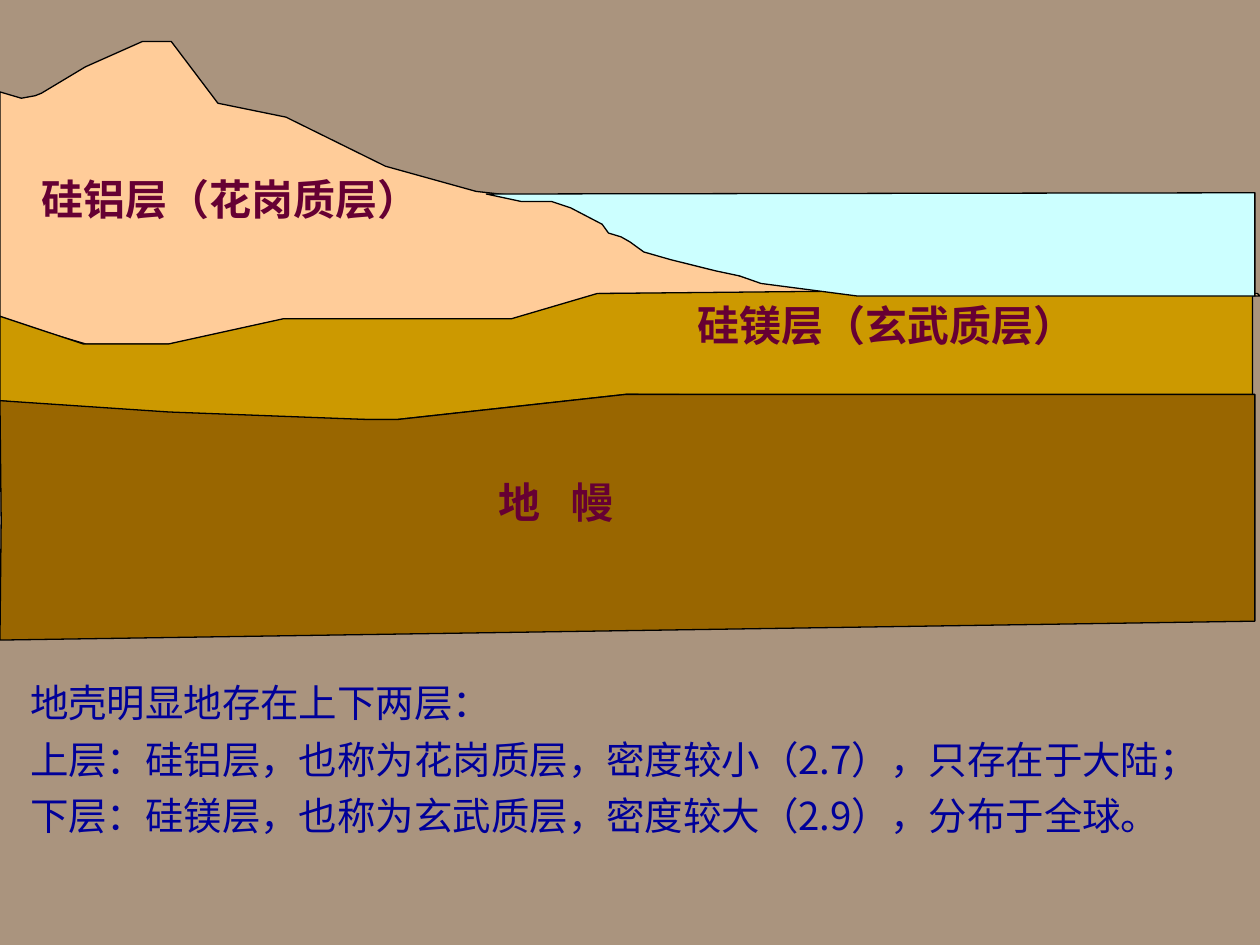
from pptx import Presentation
from pptx.dml.color import RGBColor as RGB
from pptx.enum.text import MSO_AUTO_SIZE as Fit, PP_ALIGN as Align
from pptx.oxml.ns import qn
from pptx.util import Inches, Pt
from lxml.etree import SubElement

HUES = {
    "back": "AA947E", "granite": "FFCC99", "basalt": "CC9900",
    "sea": "CCFFFF", "mantle": "996600", "edge": "000000",
    "label": "660033", "note": "000099",
}
SANS = "Noto Sans CJK SC"
SERIF = "Times New Roman"

# Outlines in inches from the top left corner of the cross-section
LAYERS = {
    "granite": [
        (0.17, 0.45), (0.28, 0.43), (0.33, 0.41), (0.38, 0.38), (0.68, 0.2),
        (1.13, 0), (1.36, 0), (1.73, 0.49), (2.27, 0.6), (3.06, 0.99),
        (3.78, 1.19), (4.51, 1.27), (4.76, 1.42), (5.13, 1.64), (5.94, 1.88),
        (6.96, 2), (7.95, 2), (10, 2.02), (9.98, 2), (4.76, 2),
        (4.08, 2.2), (2.27, 2.2), (1.36, 2.4), (0.68, 2.4), (0, 2.2),
        (0, 0.4)],
    "basalt": [
        (0, 2.18), (0, 2.85), (1.13, 2.98), (1.35, 2.98), (1.57, 3),
        (3.15, 3), (4.97, 2.8), (9.94, 2.83), (9.94, 2), (6.77, 1.98),
        (4.74, 2), (4.06, 2.2), (2.25, 2.2), (1.34, 2.4), (0.66, 2.4)],
    "sea": [
        (9.96, 1.2), (9.96, 2.02), (6.81, 2.02), (6.04, 1.92), (5.87, 1.86),
        (5.68, 1.82), (5.32, 1.73), (5.11, 1.67), (5, 1.59), (4.93, 1.55),
        (4.83, 1.52), (4.78, 1.45), (4.53, 1.32), (4.38, 1.27), (4.14, 1.27),
        (3.86, 1.21)],
    "mantle": [
        (0, 2.85), (0.01, 3.8), (0, 4.75), (9.96, 4.6), (9.96, 2.8),
        (4.97, 2.8), (3.15, 3), (2.93, 3), (1.34, 2.94)],
}
LABELS = [
    (0.23, 1, 3.63, ["硅铝层（花岗质层）"]),
    (5.44, 2, 3.63, ["硅镁层（玄武质层）"]),
    (3.86, 3.4, 1.81, ["地", " ", "幔"]),
]
NOTES = [
    "地壳明显地存在上下两层：",
    "上层：硅铝层，也称为花岗质层，密度较小（2.7），只存在于大陆；",
    "下层：硅镁层，也称为玄武质层，密度较大（2.9），分布于全球。",
]


def hue(name):
    return RGB.from_string(HUES[name])


def add_run(para, text, size, face, name, bold=False):
    run = para.add_run()
    run.text = text
    font = run.font
    font.size, font.name, font.bold = Pt(size), face, bold
    font.color.rgb = hue(name)
    return run


def add_box(shapes, left, top, width, height):
    frame = shapes.add_textbox(
        Inches(left), Inches(top), Inches(width), Inches(height)).text_frame
    frame.word_wrap = True
    return frame


def add_layer(shapes, name, left, top):
    spots = [(Inches(left + x), Inches(top + y)) for x, y in LAYERS[name]]
    pen = shapes.build_freeform(*spots[0])
    pen.add_line_segments(spots[1:], close=True)
    layer = pen.convert_to_shape()
    layer.shadow.inherit = False
    layer.fill.solid()
    layer.fill.fore_color.rgb = hue(name)
    layer.line.color.rgb = hue("edge")
    layer.line.width = Pt(0.75)


def add_section(slide, left, top):
    shapes = slide.shapes.add_group_shape().shapes
    # Rock layers and sea, back to front
    for name in LAYERS:
        add_layer(shapes, name, left, top)
    # Layer names
    for x, y, width, parts in LABELS:
        para = add_box(shapes, left + x, top + y, width, 1).paragraphs[0]
        para.alignment = Align.JUSTIFY
        for part in parts:
            run = add_run(para, part, 24, SERIF, "label", True)
            if part == " ":  # widen the gap by letter spacing
                run._r.get_or_add_rPr().set("spc", "1200")


def add_notes(slide, left, top, width, height):
    frame = add_box(slide.shapes, left, top, width, height)
    frame.auto_size = Fit.SHAPE_TO_FIT_TEXT
    for i, text in enumerate(NOTES):
        para = frame.add_paragraph() if i else frame.paragraphs[0]
        para.space_before = Pt(6 if i else 0)
        run = add_run(para, text, 22, SANS, "note")
        SubElement(run._r.get_or_add_rPr(), qn("a:ea"), typeface=SANS)


def main():
    deck = Presentation()
    deck.slide_width, deck.slide_height = Inches(10), Inches(7.5)
    slide = deck.slides.add_slide(deck.slide_layouts[6])
    fill = slide.background.fill
    fill.solid()
    fill.fore_color.rgb = hue("back")
    add_notes(slide, 0.14, 5.34, 9.67, 1.57)
    add_section(slide, 0, 0.33)
    deck.save("out.pptx")


if __name__ == "__main__":
    main()
